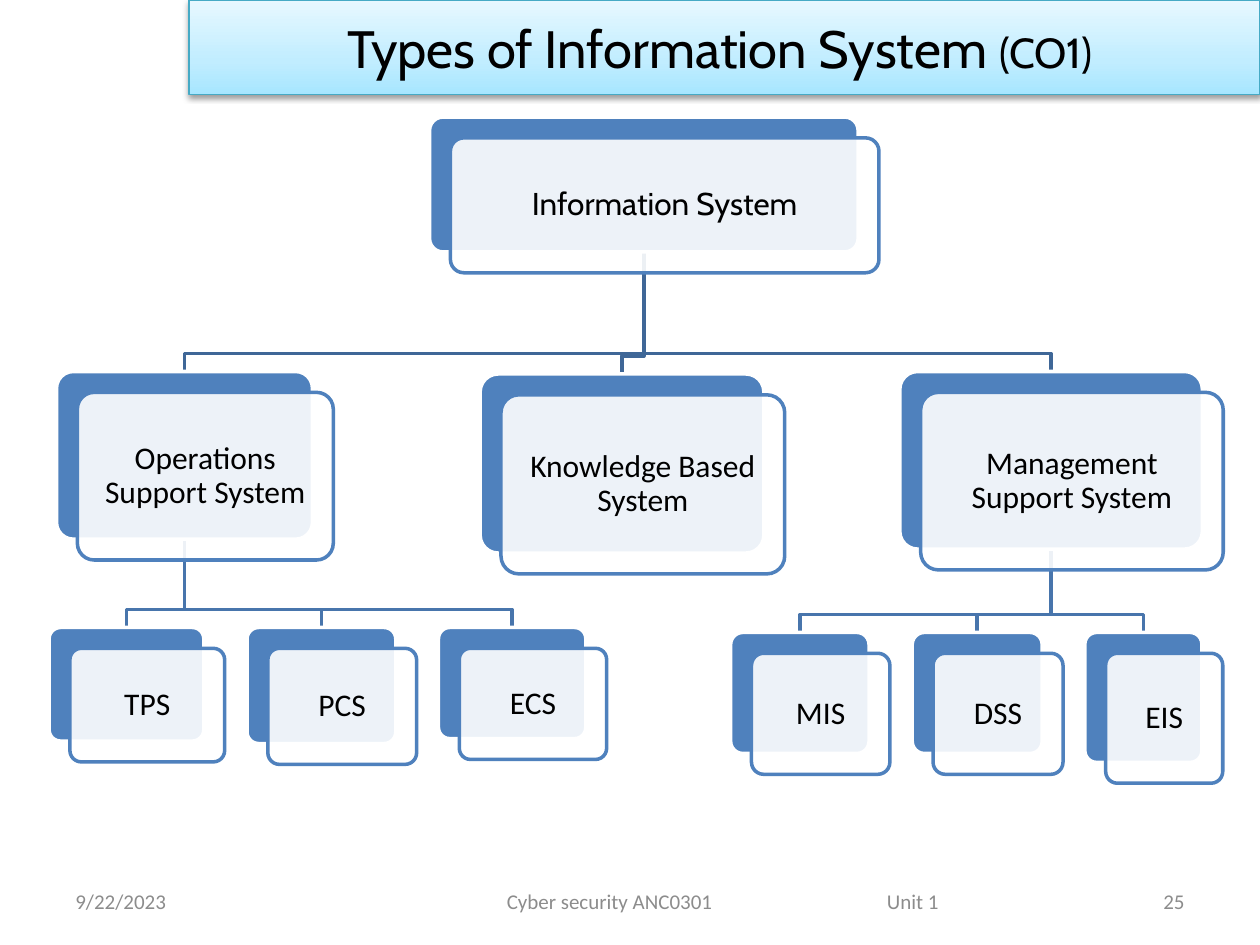
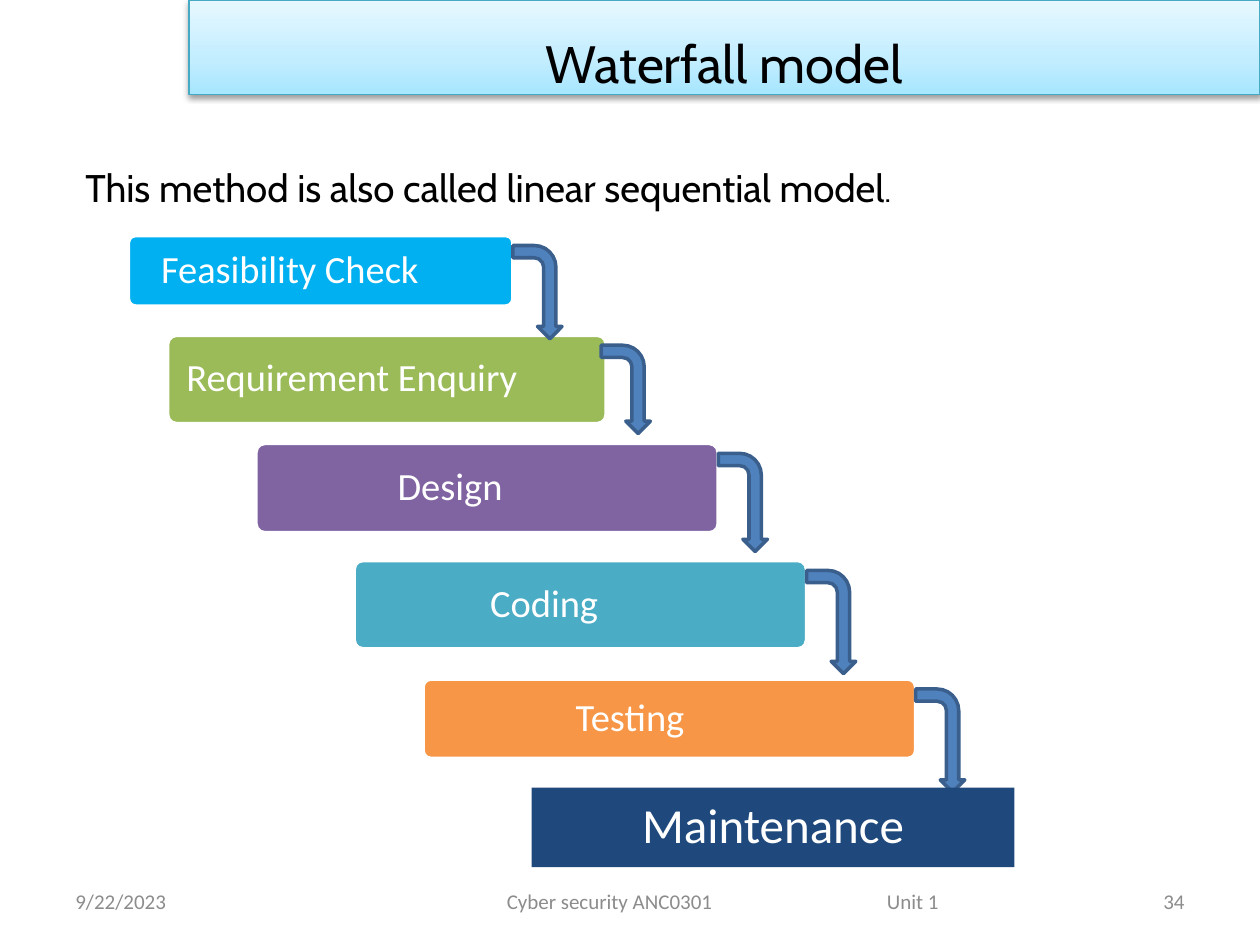
import copy

import pptx
import pptx.dml.color
import pptx.enum.shapes
import pptx.enum.text
import pptx.oxml
import pptx.oxml.ns
import pptx.util
from lxml import etree

Cm, Pt = pptx.util.Cm, pptx.util.Pt
RGB = pptx.dml.color.RGBColor
SHAPE = pptx.enum.shapes.MSO_SHAPE
ALIGN = pptx.enum.text.PP_ALIGN
ANCHOR = pptx.enum.text.MSO_ANCHOR
qn = pptx.oxml.ns.qn

# Shared style
BLACK, WHITE = RGB(0, 0, 0), RGB(0xFF, 0xFF, 0xFF)
GREY = RGB(0x8C, 0x8C, 0x8C)
BLUE = RGB(0x4F, 0x81, 0xBD)
ARROW_EDGE = RGB(0x3A, 0x5F, 0x8C)
TOP_LINK, LOW_LINK = RGB(0x3F, 0x67, 0x97), RGB(0x48, 0x75, 0xAC)
BAND_EDGE = RGB(0x46, 0xAA, 0xC5)
BAND_STOPS = [(0, RGB(0xA7, 0xE6, 0xFF)), (0.35, RGB(0xC1, 0xED, 0xFF)),
              (1, RGB(0xE7, 0xF8, 0xFF))]
HEAD_FONT, BODY_FONT = "Cabin", "Calibri"

# Footer: text, left, width, alignment
FOOTER = [("9/22/2023", 1.27, 5.92, ALIGN.LEFT),
          ("Cyber security ANC0301", 9.29, 6, ALIGN.CENTER),
          ("Unit 1", 17.15, 2.5, ALIGN.CENTER)]

# System tree: name -> (parent, left, top, width, height) of the back card
SYSTEMS = {
    "Information System": (None, 8.66, 2.36, 8.64, 2.72),
    "Operations Support System": ("Information System", 1.14, 7.49, 5.16, 3.38),
    "Knowledge Based System": ("Information System", 9.68, 7.54, 5.72, 3.61),
    "Management Support System": ("Information System", 18.14, 7.49, 6.1, 3.58),
    "TPS": ("Operations Support System", 0.99, 12.65, 3.12, 2.29),
    "PCS": ("Operations Support System", 4.98, 12.65, 3, 2.34),
    "ECS": ("Operations Support System", 8.84, 12.65, 2.97, 2.24),
    "MIS": ("Management Support System", 14.73, 12.75, 2.79, 2.44),
    "DSS": ("Management Support System", 18.39, 12.75, 2.62, 2.44),
    "EIS": ("Management Support System", 21.87, 12.75, 2.36, 2.62),
}
ROOT = "Information System"
CARD_SHIFT = 0.42
LINK_DROP = 0.36

# Waterfall: name, left, top, width, height, colour, arrow length, arrow shift
STEPS = [
    ("Feasibility Check", 2.59, 4.75, 7.75, 1.42, RGB(0x00, 0xB0, 0xF0), 1.88, 0),
    ("Requirement Enquiry", 3.38, 6.76, 8.84, 1.78, RGB(0x9B, 0xBB, 0x59), 1.78, -0.1),
    ("Design", 5.16, 8.94, 9.32, 1.8, RGB(0x80, 0x64, 0xA2), 1.98, 0),
    ("Coding", 7.14, 11.3, 9.12, 1.78, RGB(0x4B, 0xAC, 0xC6), 2.08, 0),
    ("Testing", 8.53, 13.69, 9.93, 1.6, RGB(0xF7, 0x96, 0x46), 2.08, 0),
]
LAST_STEP = ("Maintenance", 10.72, 15.88, 9.73, 1.6, RGB(0x1F, 0x49, 0x7D))
ARROW_WIDTH = 0.99
ARROW_ADJ = (0.25, 0.25, 0.25, 0.44)


def put_text(s, *runs, font=BODY_FONT, color=BLACK, align=ALIGN.CENTER,
             anchor=ANCHOR.MIDDLE, spacing=None, insets=(0.25, 0.13, 0.25, 0.13)):
    """Fill a shape with one paragraph of (text, size) runs."""
    tf = s.text_frame
    tf.word_wrap = True
    tf.vertical_anchor = anchor
    tf.margin_left, tf.margin_top, tf.margin_right, tf.margin_bottom = map(Cm, insets)
    p = tf.paragraphs[0]
    p.alignment = align
    if spacing:
        p.line_spacing = spacing
    for text, size in runs:
        r = p.add_run()
        r.text = text
        r.font.size, r.font.name, r.font.color.rgb = Pt(size), font, color


def add_box(slide, kind, box, fill, line=None, width=2, adj=()):
    s = slide.shapes.add_shape(kind, *map(Cm, box))
    s.shadow.inherit = False
    for i, value in enumerate(adj):
        s.adjustments[i] = value
    if fill is not None:
        s.fill.solid()
        s.fill.fore_color.rgb = fill
    if line is None:
        s.line.fill.background()
    else:
        s.line.color.rgb, s.line.width = line, Pt(width)
    return s


def add_label(slide, box, *runs, **fmt):
    put_text(slide.shapes.add_textbox(*map(Cm, box)), *runs, **fmt)


def add_band(slide, runs, spacing=None):
    s = add_box(slide, SHAPE.RECTANGLE, (3.81, 0, 21.59, 1.9), None, BAND_EDGE, 0.75)
    s.fill.gradient()
    s.fill.gradient_angle = 90
    stops = s._element.spPr.find(".//" + qn("a:gsLst"))
    stops.insert(1, copy.deepcopy(stops[0]))
    for stop, (position, color) in zip(s.fill.gradient_stops, BAND_STOPS):
        stop.position, stop.color.rgb = position, color
    # Soft shadow below the band
    effects = s._element.spPr.find(qn("a:effectLst"))
    shadow = etree.SubElement(effects, qn("a:outerShdw"), blurRad="40000",
                              dist="20000", dir="5400000", rotWithShape="0")
    color = etree.SubElement(shadow, qn("a:srgbClr"), val="000000")
    etree.SubElement(color, qn("a:alpha"), val="38000")
    put_text(s, *runs, font=HEAD_FONT, spacing=spacing)


def new_slide(prs, number, title, spacing=None):
    slide = prs.slides.add_slide(prs.slide_layouts[6])
    for text, left, width, align in FOOTER + [(number, 18.21, 5.92, ALIGN.RIGHT)]:
        add_label(slide, (left, 17.65, width, 1.02), (text, 12), color=GREY, align=align)
    add_band(slide, title, spacing)
    return slide


def add_link(slide, parent, child):
    _, px, py, pw, ph = SYSTEMS[parent]
    _, cx, cy, cw, _ = SYSTEMS[child]
    start, end, bend = px + pw / 2, cx + cw / 2, cy - LINK_DROP
    points = [(Cm(x), Cm(y)) for x, y in
              [(start, py + ph), (start, bend), (end, bend), (end, cy)]]
    builder = slide.shapes.build_freeform(*points[0])
    builder.add_line_segments(points[1:], close=False)
    s = builder.convert_to_shape()
    s.shadow.inherit = False
    s.fill.background()
    s.line.color.rgb = TOP_LINK if parent == ROOT else LOW_LINK
    s.line.width = Pt(2)


def add_card(slide, name, left, top, width, height):
    add_box(slide, SHAPE.ROUNDED_RECTANGLE, (left, top, width, height), BLUE, WHITE, adj=[0.1])
    front = (left + CARD_SHIFT, top + CARD_SHIFT, width, height)
    s = add_box(slide, SHAPE.ROUNDED_RECTANGLE, front, WHITE, BLUE, adj=[0.1])
    color = s._element.spPr.find(qn("a:solidFill"))[0]
    etree.SubElement(color, qn("a:alpha"), val="90000")
    put_text(s, (name, 18), font=HEAD_FONT if name == ROOT else BODY_FONT,
             spacing=0.9, insets=[0.18] * 4)


def build_systems(prs):
    slide = new_slide(prs, "25", [("Types of Information System ", 30), ("(CO1) ", 24)])
    # Links lie under the cards
    for name, (parent, *_) in SYSTEMS.items():
        if parent:
            add_link(slide, parent, name)
    for name, (_, *box) in SYSTEMS.items():
        add_card(slide, name, *box)


def build_waterfall(prs):
    slide = new_slide(prs, "34", [("Waterfall model", 30)], spacing=1.5)
    add_label(slide, (1.47, 3.18, 22.86, 1.57),
              ("This method is also called linear sequential model", 22), (".", 18),
              font=HEAD_FONT, align=ALIGN.JUSTIFY, anchor=ANCHOR.TOP)
    # Bars, with their text centred on the left 84 %
    for name, left, top, width, height, color, *_ in STEPS:
        s = add_box(slide, SHAPE.ROUNDED_RECTANGLE, (left, top, width, height),
                    color, WHITE, adj=[0.1])
        put_text(s, (name, 22), color=WHITE, spacing=0.9,
                 insets=(0.23, 0.23, 0.23 + 0.16 * width, 0.23))
    # Arrows from the right end of each bar, turned to point down
    for _, left, top, width, _, _, length, shift in STEPS:
        mid_x = left + width + shift + ARROW_WIDTH / 2
        mid_y = top + 0.2 + length / 2
        box = (mid_x - length / 2, mid_y - ARROW_WIDTH / 2, length, ARROW_WIDTH)
        s = add_box(slide, SHAPE.BENT_ARROW, box, BLUE, ARROW_EDGE, adj=ARROW_ADJ)
        s.rotation = 90
    # Last step covers the tip of the last arrow
    name, *box, color = LAST_STEP
    s = add_box(slide, SHAPE.RECTANGLE, box, color)
    put_text(s, (name, 28), color=WHITE, spacing=0.9, insets=[0.3] * 4)


def main():
    prs = pptx.Presentation()
    prs.slide_width, prs.slide_height = Cm(25.4), Cm(19.05)
    build_systems(prs)
    build_waterfall(prs)
    prs.save("out.pptx")


if __name__ == "__main__":
    main()
